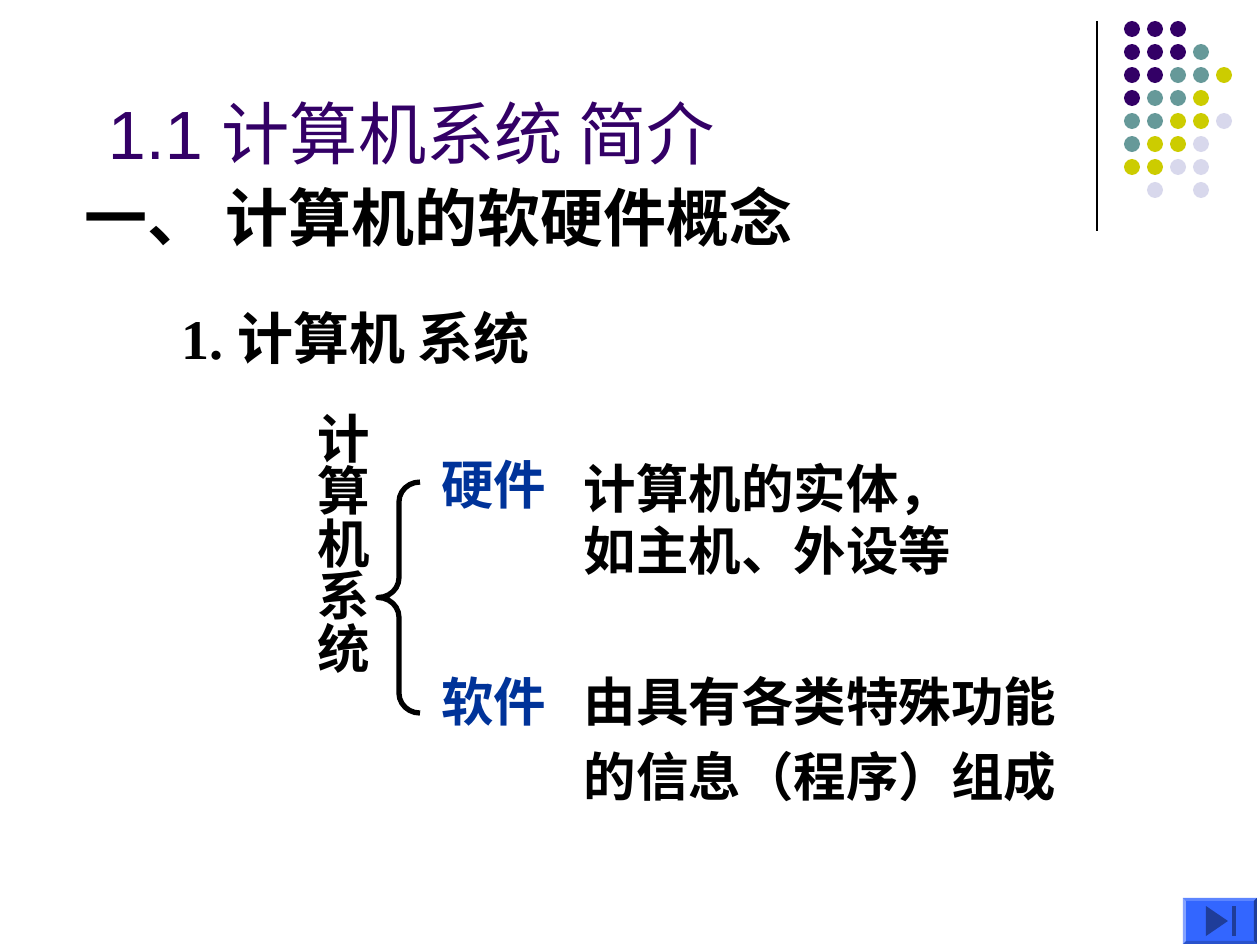
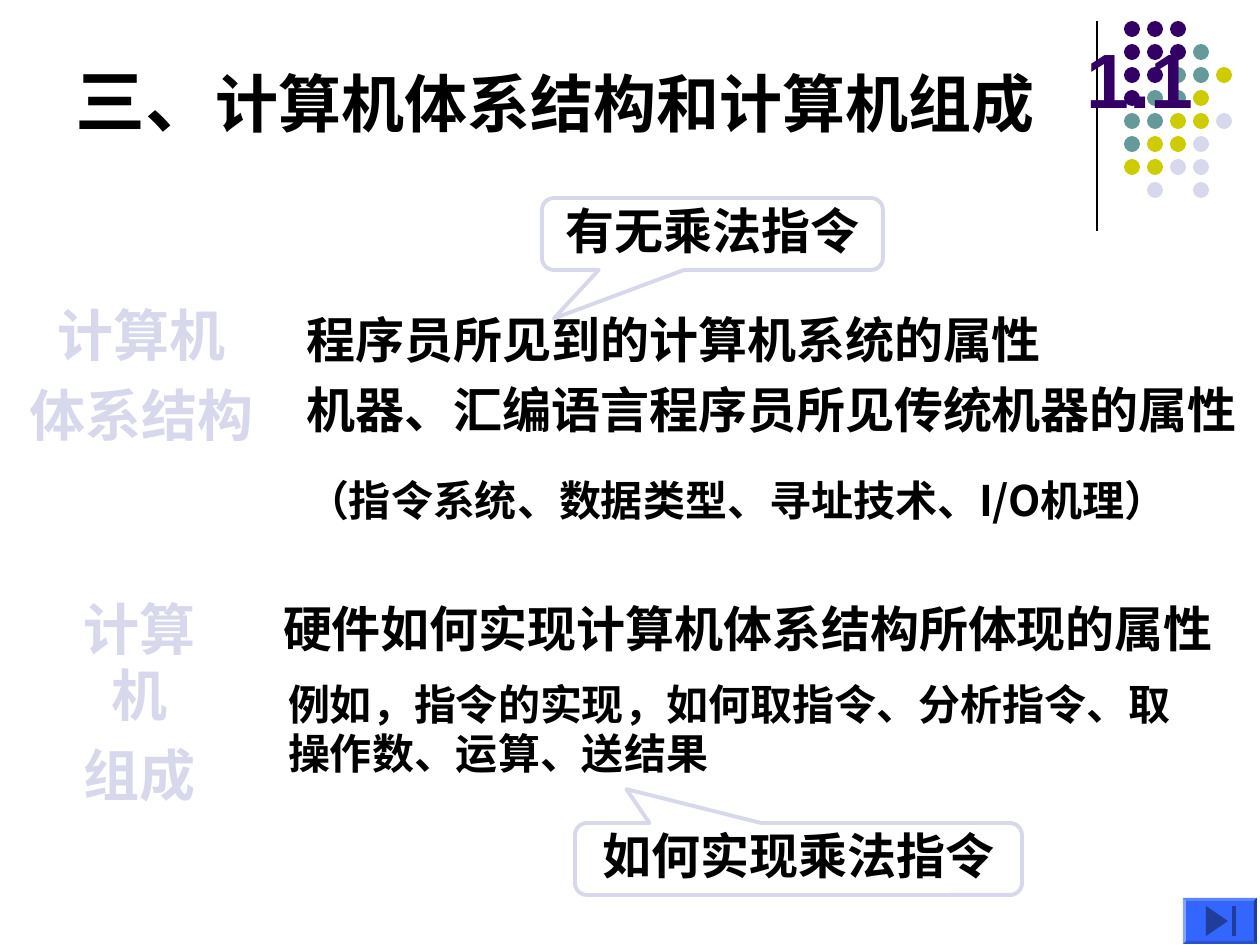
import dataclasses

import pptx
import pptx.dml.color
import pptx.enum.shapes
import pptx.enum.text
import pptx.oxml.ns
import pptx.util
from lxml import etree

PX = pptx.util.Inches(1) / 126
SHAPE = pptx.enum.shapes.MSO_SHAPE
ALIGN = pptx.enum.text.PP_ALIGN
ANCHOR = pptx.enum.text.MSO_ANCHOR


@dataclasses.dataclass(frozen=True)
class Theme:
    ink: str = "000000"
    plum: str = "330066"
    teal: str = "669999"
    lime: str = "CCCC00"
    mist: str = "D8D8EC"
    navy: str = "003399"
    button: str = "3366FF"
    light: str = "85A3FF"
    pale: str = "5C85FF"
    dim: str = "2952CC"
    dark: str = "1F3D99"
    sans: str = "Arial"
    serif: str = "Times New Roman"
    han: str = "Noto Sans CJK SC"
    mark: int = 44
    lead: int = 40
    title: int = 39
    head: int = 36
    topic: int = 32
    body: int = 30
    point: int = 28
    note: int = 24
    pitch: float = 1.18


T = Theme()
DOTS = ("PPP", "PPPT", "PPTTY", "PTTY", "TTYYL", "TYYL", "YYLL", " L L")
TINTS = {"P": T.plum, "T": T.teal, "Y": T.lime, "L": T.mist}


def emu(*sizes):
    return [round(size * PX) for size in sizes]


def rgb(code):
    return pptx.dml.color.RGBColor.from_string(code)


def paint(shape, fill=None, line=None, width=1):
    shape.shadow.inherit = False
    if fill:
        shape.fill.solid()
        shape.fill.fore_color.rgb = rgb(fill)
    else:
        shape.fill.background()
    if line:
        shape.line.color.rgb = rgb(line)
        shape.line.width = pptx.util.Pt(width)
    else:
        shape.line.fill.background()


def write(shape, lines, size=T.body, color=T.ink, font=T.han, bold=True,
          align=ALIGN.LEFT, anchor=ANCHOR.TOP, gap=0, inset=(13, 6, 13, 6),
          wrap=True, upright=False):
    """Fill a shape with lines; a line is a string or a list of (string, size)."""
    frame = shape.text_frame
    frame.word_wrap = wrap
    frame.vertical_anchor = anchor
    (frame.margin_left, frame.margin_top,
     frame.margin_right, frame.margin_bottom) = emu(*inset)
    if upright:
        frame._txBody.bodyPr.set("vert", "eaVert")
    for row, line in enumerate(lines):
        para = frame.add_paragraph() if row else frame.paragraphs[0]
        para.alignment = align
        runs = [(line, size)] if isinstance(line, str) else line
        para.line_spacing = pptx.util.Pt(T.pitch * max(run[1] for run in runs))
        para.space_before = pptx.util.Pt(gap if row else 0)
        for words, points in runs:
            run = para.add_run()
            run.text = words
            run.font.name = font
            run.font.size = pptx.util.Pt(points)
            run.font.bold = bold
            run.font.color.rgb = rgb(color)
            east = etree.SubElement(run.font._element, pptx.oxml.ns.qn("a:ea"))
            east.set("typeface", T.han)


def text(slide, box, *lines, **form):
    write(slide.shapes.add_textbox(*emu(*box)), lines, **form)


def corner(slide, left, top):
    """Draw the thin rule and the dot pattern beside it."""
    rule = slide.shapes.add_connector(
        pptx.enum.shapes.MSO_CONNECTOR.STRAIGHT,
        *emu(left, top, left, top + 210))
    rule.line.color.rgb = rgb(T.ink)
    rule.line.width = pptx.util.Pt(0.75)
    etree.SubElement(rule._element.spPr, pptx.oxml.ns.qn("a:effectLst"))
    for row, marks in enumerate(DOTS):
        for col, key in enumerate(marks):
            if key in TINTS:
                spot = emu(left + 27 + 23 * col, top + 23 * row, 16, 16)
                dot = slide.shapes.add_shape(SHAPE.OVAL, *spot)
                paint(dot, TINTS[key])


def button(slide, left, top, wide=74, high=46, edge=3):
    """Draw the bevelled skip-to-end button."""
    right, base = wide - edge, high - edge
    outer = [(0, 0), (wide, 0), (wide, high), (0, high)]
    inner = [(edge, edge), (right, edge), (right, base), (edge, base)]
    parts = [(T.button, outer)]
    for side, tint in enumerate((T.pale, T.dark, T.dim, T.light)):
        after = (side + 1) % 4
        parts.append((tint, [outer[side], outer[after],
                             inner[after], inner[side]]))
    parts.append((T.dark, [(45, 23), (23, 38), (23, 8)]))
    parts.append((T.dark, [(49, 8), (53, 8), (53, 38), (49, 38)]))
    for tint, points in parts:
        spots = [(left + x, top + y) for x, y in points]
        pen = slide.shapes.build_freeform(*spots[0], scale=PX)
        pen.add_line_segments(spots[1:], close=True)
        paint(pen.convert_to_shape(), tint)


def blank(deck):
    slide = deck.slides.add_slide(deck.slide_layouts[6])
    corner(slide, 1097, 21)
    return slide


def tree(slide, left, top):
    """Draw the computer system with its two braced parts."""
    text(slide, (left, top, 88, 399), "计算机系统", align=ALIGN.CENTER,
         inset=(6, 13, 6, 13), upright=True)
    brace = slide.shapes.add_shape(
        SHAPE.LEFT_BRACE, *emu(left + 88, top + 83, 42, 231))
    brace.adjustments[0] = 0.47
    paint(brace, line=T.ink, width=3)
    for name, drop in (("硬件", 48), ("软件", 265)):
        text(slide, (left + 138, top + drop, 156, 76), name, color=T.navy)
    text(slide, (left + 281, top + 52, 539, 139),
         "计算机的实体，", "如主机、外设等")
    text(slide, (left + 281, top + 265, 552, 152),
         "由具有各类特殊功能", "的信息（程序）组成", font=T.serif, gap=7.5)


def callout(slide, box, words, tip):
    shape = slide.shapes.add_shape(
        SHAPE.ROUNDED_RECTANGULAR_CALLOUT, *emu(*box))
    for spot, value in enumerate((*tip, 0.167)):
        shape.adjustments[spot] = value
    paint(shape, line=T.mist, width=2.25)
    write(shape, [words], size=T.point, align=ALIGN.CENTER,
          inset=(0, 0, 0, 8))


def term(slide, box, *lines):
    text(slide, box, *lines, size=T.topic, color=T.mist,
         align=ALIGN.CENTER, gap=8)


def design(slide, left, top):
    """Place the architecture term, its meaning and its example."""
    term(slide, (left, top, 256, 161), "计算机", "体系结构")
    text(slide, (left + 280, top + 8, 1008, 142),
         "程序员所见到的计算机系统的属性",
         "机器、汇编语言程序员所见传统机器的属性",
         size=T.point, font=T.serif, gap=7)
    callout(slide, (left + 528, top - 98, 341, 72),
            "有无乘法指令", (-0.465, 1.174))
    text(slide, (left + 280, top + 173, 987, 63),
         "（指令系统、数据类型、寻址技术、I/O机理）", size=T.note)


def build(slide, left, top):
    """Place the organization term, its meaning and its example."""
    term(slide, (left, top, 193, 161), "计算机", "组成")
    text(slide, (left + 227, top + 3, 988, 72),
         "硬件如何实现计算机体系结构所体现的属性",
         size=T.point, font=T.serif)
    callout(slide, (left + 532, top + 233, 447, 72),
            "如何实现乘法指令", (-0.385, -0.971))
    text(slide, (left + 232, top + 83, 924, 113),
         "例如，指令的实现，如何取指令、分析指令、取操作数、运算、送结果",
         size=T.note, font=T.serif)


def system(deck):
    slide = blank(deck)
    text(slide, (95, 21, 1071, 158), "1.1 计算机系统 简介", size=T.title,
         color=T.plum, font=T.sans, bold=False, anchor=ANCHOR.BOTTOM)
    text(slide, (72, 174, 1134, 88), "一、 计算机的软硬件概念",
         size=T.head, font=T.serif)
    text(slide, (168, 299, 672, 81), "1. 计算机 系统",
         size=T.topic, font=T.serif)
    tree(slide, 290, 399)
    button(slide, 1183, 898)


def compare(deck):
    slide = blank(deck)
    design(slide, 14, 296)
    build(slide, 43, 590)
    text(slide, (1061, 21, 158, 116), "1.1", size=T.mark, color=T.plum,
         font=T.sans, align=ALIGN.CENTER, anchor=ANCHOR.MIDDLE)
    text(slide, (63, 53, 1071, 126),
         [("三、", T.lead), ("计算机体系结构和计算机组成", T.head)],
         font=T.serif)
    button(slide, 1183, 898)


def main():
    deck = pptx.Presentation()
    deck.slide_width, deck.slide_height = emu(1260, 945)
    system(deck)
    compare(deck)
    deck.save("out.pptx")


if __name__ == "__main__":
    main()
